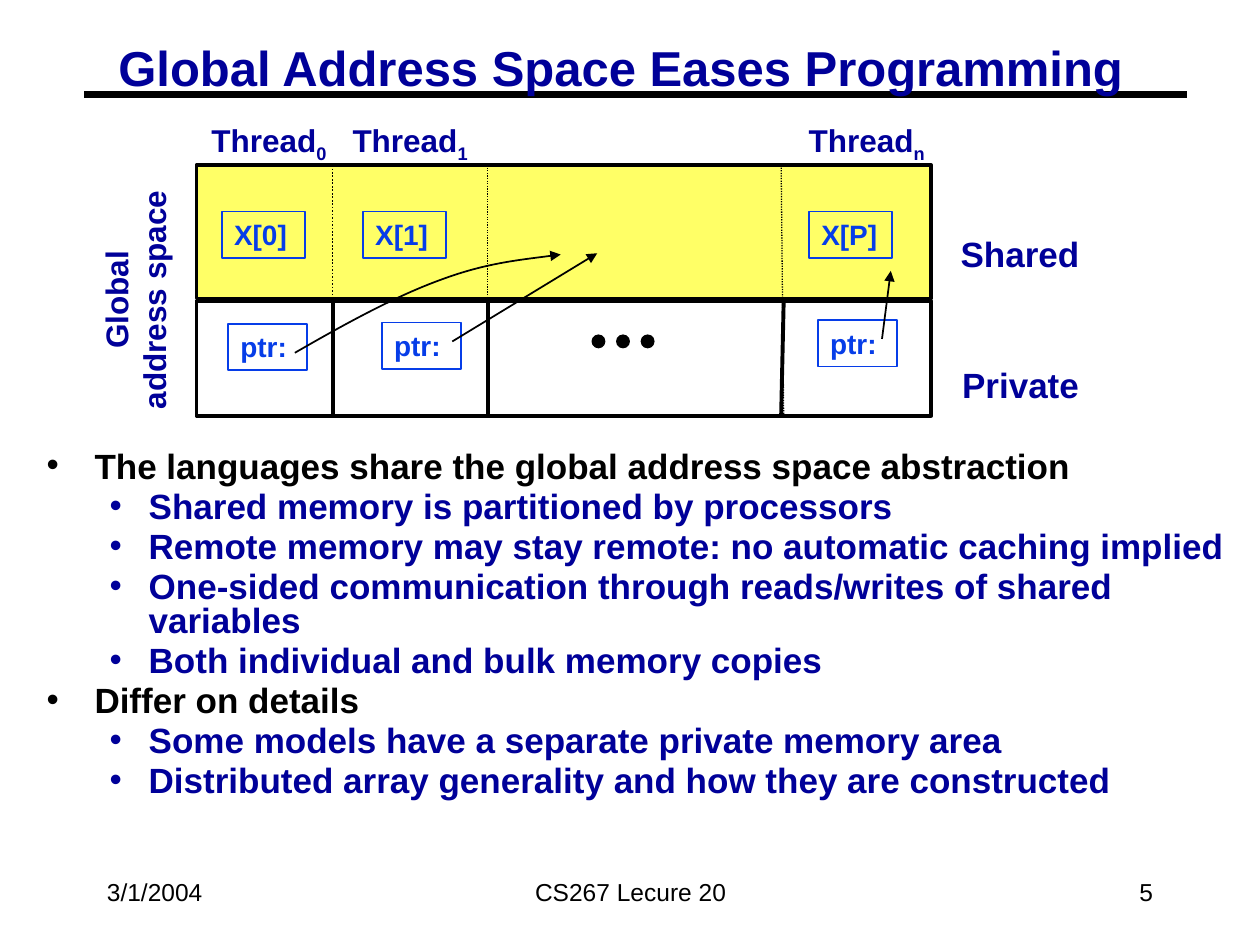
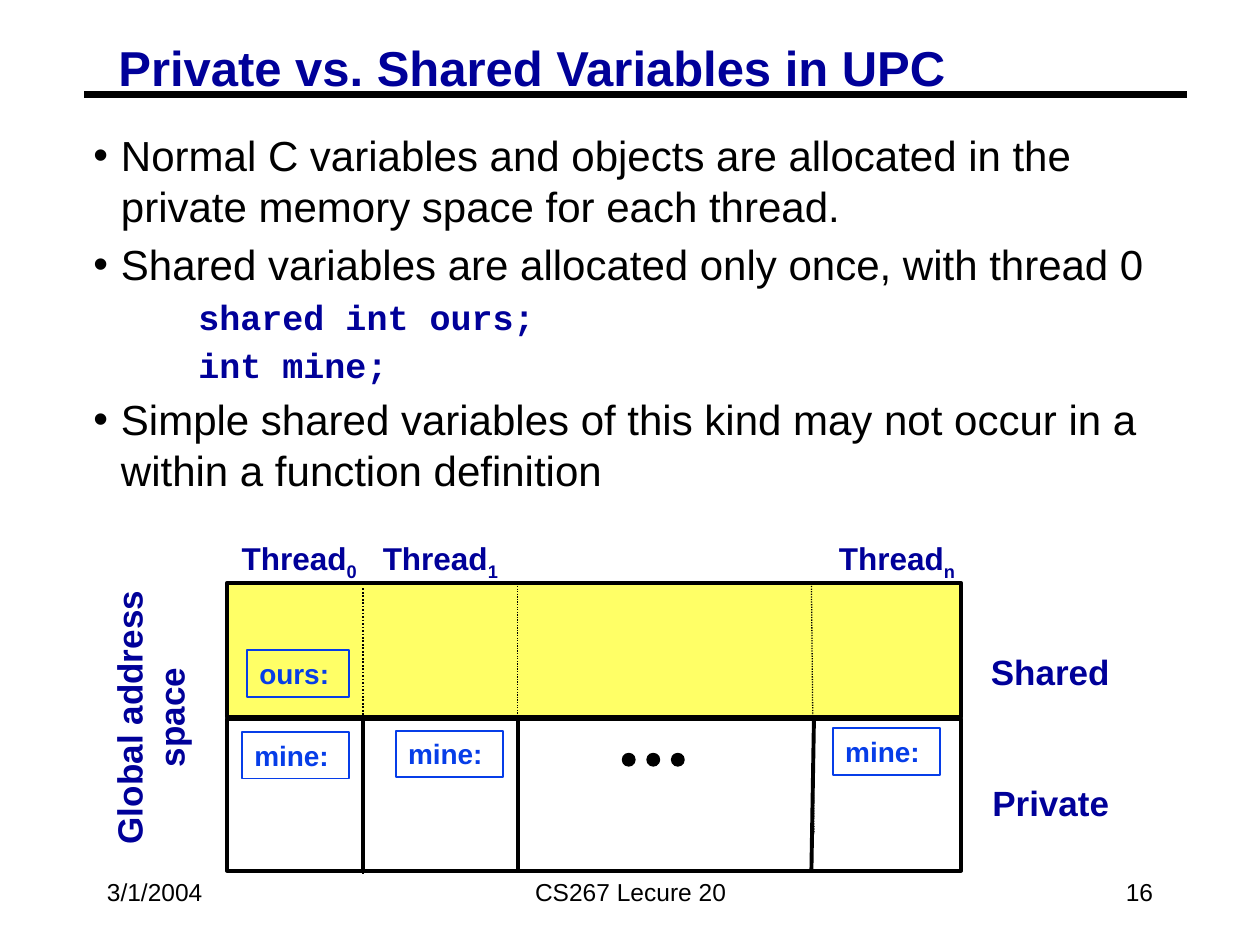
"""Builds two slides on the global address space and on private and shared variables."""
from lxml import etree
from pptx import Presentation
from pptx import util as u
from pptx.dml.color import RGBColor
from pptx.enum import dml, shapes, text
from pptx.oxml import ns

BLACK = RGBColor(0x00, 0x00, 0x00)
NAVY = RGBColor(0x00, 0x00, 0x99)
BLUE = RGBColor(0x06, 0x3D, 0xE8)
YELLOW = RGBColor(0xFF, 0xFF, 0x66)

TITLE = {"name": "Arial", "size": u.Pt(28), "bold": True}
HEADING = {"name": "Arial", "size": u.Pt(20), "bold": True}
THREAD = {"name": "Arial", "size": u.Pt(18), "bold": True}
VARIABLE = {"name": "Arial", "size": u.Pt(16), "bold": True}
FOOTER = {"name": "Arial", "size": u.Pt(14), "bold": False}
PLAIN = {"name": "Arial", "size": u.Pt(24), "bold": False}
CODE = {"name": "Courier New", "size": u.Pt(20), "bold": True}

LEFT, CENTER, RIGHT = text.PP_ALIGN.LEFT, text.PP_ALIGN.CENTER, text.PP_ALIGN.RIGHT
TOP, MIDDLE = text.MSO_ANCHOR.TOP, text.MSO_ANCHOR.MIDDLE
RECT, OVAL = shapes.MSO_SHAPE.RECTANGLE, shapes.MSO_SHAPE.OVAL

BULLETS = {
    "main": dict(style=HEADING, color=BLACK, level=0, indent=0.38, hang=0.38, bullet=True, line=0.8, before=3.7),
    "sub": dict(style=HEADING, color=NAVY, level=1, indent=0.81, hang=0.31, bullet=True, line=0.8, before=3.7),
    "plain": dict(style=PLAIN, color=BLACK, level=0, indent=0.22, hang=0.22, bullet=True, line=1.0, before=4.5),
    "code": dict(style=CODE, color=NAVY, level=0, indent=0.22, hang=0.22, bullet=False, line=1.0, before=3.7),
}

SLIDES = [
    dict(
        title="Global Address Space Eases Programming", number="5",
        body=(0.3, 3.56, 9.67, 3.12),
        points=[
            ("main", "The languages share the global address space abstraction"),
            ("sub", "Shared memory is partitioned by processors"),
            ("sub", "Remote memory may stay remote: no automatic caching implied"),
            ("sub", "One-sided communication through reads/writes of shared variables"),
            ("sub", "Both individual and bulk memory copies"),
            ("main", "Differ on details"),
            ("sub", "Some models have a separate private memory area"),
            ("sub", "Distributed array generality and how they are constructed"),
        ],
        origin=(1.56, 1.31), private_height=0.91, first_divider=(0, 1.99),
        space_label=(0.09, 2.03, 1.96, 0.7), space_style=THREAD,
        variables=[
            ("X[0]", 0.2, 0.37, 0.66), ("X[1]", 1.32, 0.37, 0.66), ("X[P]", 4.86, 0.37, 0.66),
            ("ptr:", 0.25, 1.26, 0.63), ("ptr:", 1.47, 1.25, 0.63), ("ptr:", 4.93, 1.23, 0.63),
        ],
        pointers=[((3.59, 2.71), (4.74, 2.01)), ((7, 2.69), (7.07, 2.15))],
        curve=[(2.34, 2.8), (2.74, 2.57), (3.14, 2.35), (3.5, 2.22), (3.85, 2.09), (4.15, 2.06), (4.45, 2.02)],
    ),
    dict(
        title="Private vs. Shared Variables in UPC", number="16",
        body=(0.67, 1, 8.75, 2.95),
        points=[
            ("plain", "Normal C variables and objects are allocated in the private memory space for each thread."),
            ("plain", "Shared variables are allocated only once, with thread 0"),
            ("code", "     shared int ours;"),
            ("code", "     int mine;"),
            ("plain", "Simple shared variables of this kind may not occur in a within a function definition"),
        ],
        origin=(1.8, 4.63), private_height=1.2, first_divider=(0.04, 2.31),
        space_label=(0.06, 5.31, 2.26, 0.77), space_style=HEADING,
        variables=[
            ("ours:", 0.16, 0.53, 0.81),
            ("mine:", 0.12, 1.18, 0.85), ("mine:", 1.34, 1.17, 0.85), ("mine:", 4.81, 1.15, 0.85),
        ],
        pointers=[], curve=[],
    ),
]


def write(shape, words, style, color, align=LEFT, anchor=TOP, inset=(0.1, 0.05), wrap=True):
    """Fill a shape with one paragraph; every second piece of the words is a subscript."""
    frame = shape.text_frame
    frame.margin_left = frame.margin_right = u.Inches(inset[0])
    frame.margin_top = frame.margin_bottom = u.Inches(inset[1])
    frame.auto_size, frame.word_wrap, frame.vertical_anchor = text.MSO_AUTO_SIZE.NONE, wrap, anchor
    paragraph = frame.paragraphs[0]
    paragraph.alignment = align
    for index, piece in enumerate(words):
        run = paragraph.add_run()
        run.text = piece
        for key, value in style.items():
            setattr(run.font, key, value)
        run.font.color.rgb = color
        if index % 2:
            run.font._element.set("baseline", "-25000")
    return paragraph


def stroke(slide, start, end, weight, dotted=False, arrow=False):
    """Draw a black straight line between two points."""
    line = slide.shapes.add_connector(
        shapes.MSO_CONNECTOR.STRAIGHT, *(u.Inches(value) for value in (*start, *end)))
    line.line.color.rgb, line.line.width = BLACK, u.Pt(weight)
    if dotted:
        line.line.dash_style = dml.MSO_LINE.ROUND_DOT
    if arrow:
        etree.SubElement(line.line._get_or_add_ln(), ns.qn("a:tailEnd"), type="triangle")
    etree.SubElement(line._element.spPr, ns.qn("a:effectLst"))
    return line


deck = Presentation()
deck.slide_width, deck.slide_height = u.Inches(10), u.Inches(7.5)

for content in SLIDES:
    slide = deck.slides.add_slide(deck.slide_layouts[1])
    if content is SLIDES[0]:
        title_rule = stroke(slide, (0.67, 0.75), (9.42, 0.75), 3.75)
        deck.slide_master.shapes._spTree.append(title_rule._element)

    title, body = slide.placeholders
    for holder, box in ((title, (0.87, 0.33, 8.54, 0.46)), (body, content["body"])):
        holder.left, holder.top, holder.width, holder.height = map(u.Inches, box)
    write(title, [content["title"]], TITLE, NAVY, inset=(0.07, 0.03)).line_spacing = 0.87

    for index, (kind, words) in enumerate(content["points"]):
        look = BULLETS[kind]
        if index == 0:
            point = write(body, [words], look["style"], look["color"], inset=(0.07, 0.03))
        else:
            point = body.text_frame.add_paragraph()
            point.add_run().text = words
        point.level, point.line_spacing = look["level"], look["line"]
        point.space_before = u.Pt(look["before"] if index else 0)
        props = point._p.get_or_add_pPr()
        props.set("marL", str(u.Inches(look["indent"])))
        props.set("indent", str(-u.Inches(look["hang"])))
        if look["bullet"]:
            bullet_color = etree.SubElement(props, ns.qn("a:buClr"))
            etree.SubElement(bullet_color, ns.qn("a:srgbClr"), val=str(look["color"]))
            etree.SubElement(props, ns.qn("a:buFont"), typeface="Arial")
            etree.SubElement(props, ns.qn("a:buChar"), char="•")
        else:
            etree.SubElement(props, ns.qn("a:buNone"))
        for key, value in look["style"].items():
            setattr(point.runs[0].font, key, value)
        point.runs[0].font.color.rgb = look["color"]

    x, y = content["origin"]
    bottom = y + 1.08 + content["private_height"]
    blocks = [
        (RECT, (x, y, 5.83, 1.06), YELLOW, BLACK, 2.25, None),
        (RECT, (x, y + 1.08, 5.83, content["private_height"]), None, BLACK, 2.25, None),
    ]
    blocks += [(OVAL, (x + 3.14 + 0.195 * dot, y + 1.35, 0.1, 0.1), BLACK, BLACK, 0.75, None) for dot in range(3)]
    blocks += [(RECT, (x + dx, y + dy, width, 0.37), None, BLUE, 1, name)
               for name, dx, dy, width in content["variables"]]
    for preset, box, fill, outline, weight, name in blocks:
        block = slide.shapes.add_shape(preset, *map(u.Inches, box))
        block.shadow.inherit = False
        if fill is None:
            block.fill.background()
        else:
            block.fill.solid()
            block.fill.fore_color.rgb = fill
        block.line.color.rgb, block.line.width = outline, u.Pt(weight)
        if name:
            write(block, [name], VARIABLE, BLUE)

    first_top, first_bottom = content["first_divider"]
    for dx, slant, start, end, weight in (
            (1.08, 0, first_top, first_bottom, 1), (2.31, 0, 0, 1.99, 0.75), (4.64, 0.02, 0, 1.99, 0.75)):
        stroke(slide, (x + dx, y + start), (x + dx + slant, y + end), weight, dotted=True)
        stroke(slide, (x + dx + slant, y + 1.08), (x + dx, bottom), 2.25)

    for start, end in content["pointers"]:
        stroke(slide, start, end, 1, arrow=True)
    if content["curve"]:
        first, *rest = [(u.Inches(px), u.Inches(py)) for px, py in content["curve"]]
        builder = slide.shapes.build_freeform(*first)
        builder.add_line_segments(rest, close=False)
        curve = builder.convert_to_shape()
        curve.shadow.inherit = False
        curve.fill.background()
        curve.line.color.rgb, curve.line.width = BLACK, u.Pt(1)
        etree.SubElement(curve.line._get_or_add_ln(), ns.qn("a:tailEnd"), type="triangle")
        segments = list(curve._element.iter(ns.qn("a:lnTo")))
        outline = segments[0].getparent()
        for index, segment in enumerate(segments):
            if index % 3 == 0:
                bend = etree.SubElement(outline, ns.qn("a:cubicBezTo"))
            bend.append(segment[0])
            outline.remove(segment)

    labels = [
        ((x + 5.99, y + 0.45, 1.09, 0.5), ["Shared"], HEADING, NAVY, CENTER, MIDDLE, False, 0),
        ((x + 6.01, y + 1.49, 1.06, 0.5), ["Private"], HEADING, NAVY, CENTER, MIDDLE, False, 0),
        (content["space_label"], ["Global address space"], content["space_style"], NAVY, CENTER, TOP, True, 270),
        ((x + 0.02, y - 0.4, 5.87, 0.44), ["Thread", "0", "\tThread", "1", "\tThread", "n"],
         THREAD, NAVY, LEFT, TOP, True, 0),
        ((3.42, 6.83, 3.17, 0.5), ["CS267 Lecure 20"], FOOTER, BLACK, CENTER, MIDDLE, True, 0),
        ((7.17, 6.83, 2.08, 0.5), [content["number"]], FOOTER, BLACK, RIGHT, MIDDLE, True, 0),
        ((0.75, 6.83, 2.08, 0.5), ["3/1/2004"], FOOTER, BLACK, LEFT, MIDDLE, True, 0),
    ]
    for box, words, style, color, align, anchor, wrap, turn in labels:
        label = slide.shapes.add_textbox(*map(u.Inches, box))
        label.rotation = turn
        paragraph = write(label, words, style, color, align, anchor, wrap=wrap)
        if len(words) > 1:
            stops = etree.SubElement(paragraph._p.get_or_add_pPr(), ns.qn("a:tabLst"))
            for stop in (1.12, 4.74):
                etree.SubElement(stops, ns.qn("a:tab"), pos=str(u.Inches(stop)), algn="l")

deck.save("out.pptx")
